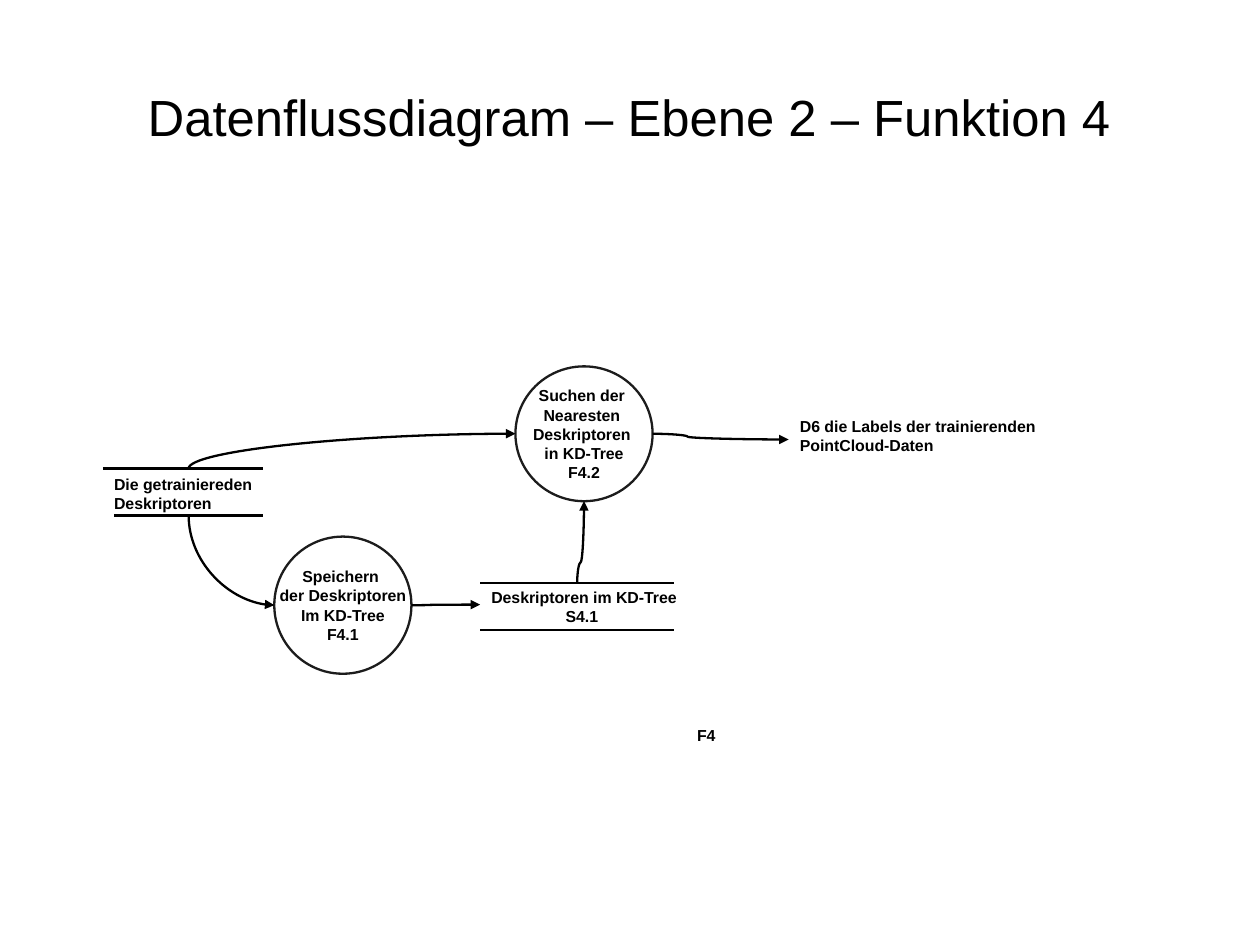
from dataclasses import dataclass

from lxml import etree
from pptx import Presentation
from pptx.dml.color import RGBColor
from pptx.enum.shapes import MSO_CONNECTOR, MSO_SHAPE
from pptx.enum.text import MSO_ANCHOR, PP_ALIGN
from pptx.oxml.ns import qn
from pptx.util import Cm, Inches, Pt

LEFT, CENTER = PP_ALIGN.LEFT, PP_ALIGN.CENTER
TOP, MIDDLE = MSO_ANCHOR.TOP, MSO_ANCHOR.MIDDLE
STRAIGHT, CURVE = MSO_CONNECTOR.STRAIGHT, MSO_CONNECTOR.CURVE
OVAL = MSO_SHAPE.OVAL

COLORS = {"ink": "000000", "ring": "1C1C1C"}
FONT = "Arial"
WIDTH = 1.45  # line width in points


def grid(cells: float) -> int:
    """Length of that many grid cells, ten to the inch."""
    return Inches(cells / 10)


@dataclass
class Label:
    col: float
    row: float
    cols: float
    rows: float
    text: str
    indent: float = 0  # extra indent of the last paragraph


@dataclass
class Process:
    col: float
    row: float
    cols: float
    rows: float
    text: str


@dataclass
class Rule:
    start: float
    end: float
    row: float


@dataclass
class Flow:
    """A curved arrow; adj places its middle bend, None means one bend."""
    x1: float
    y1: float
    x2: float
    y2: float
    upright: bool = False
    adj: int | None = None


LABELS = [
    Label(9, 41, 15, 4.1, "Die getrainiereden Deskriptoren"),
    Label(42, 50.9, 19, 4.1, "Deskriptoren im KD-Tree\nS4.1", 6.5),
    Label(69, 35.95, 23, 5, "D6 die Labels der trainierenden PointCloud-Daten"),
    Label(60, 62.95, 8, 4.1, "F4"),
]
PROCESSES = [
    Process(24, 46.95, 12, 12, "Speichern \nder Deskriptoren\nIm KD-Tree\nF4.1"),
    Process(45.1, 32.05, 12, 11.8,
            "Suchen der \nNearesten \nDeskriptoren \nin KD-Tree\nF4.2"),
]
RULES = [
    Rule(9, 23, 41), Rule(10, 23, 45.1),
    Rule(42, 59, 50.98), Rule(42, 59, 55.1),
]
FLOWS = [
    Flow(16.5, 45.1, 24, 52.95, upright=True),
    Flow(16.5, 41, 45.1, 37.95, upright=True),
    Flow(36, 52.95, 42, 52.9, adj=26400),
    Flow(50.5, 50.98, 51.1, 43.85, upright=True, adj=25000),
    Flow(57.1, 37.95, 69, 38.45, adj=25700),
]


def write(frame, text: str, size: float, bold: bool, align, anchor) -> None:
    frame.vertical_anchor = anchor
    frame.text = text
    for para in frame.paragraphs:
        para.alignment = align
        font = para.font
        font.name, font.size, font.bold = FONT, Pt(size), bold
        font.color.rgb = RGBColor.from_string(COLORS["ink"])


def stroke(line, color: str) -> None:
    line.color.rgb = RGBColor.from_string(COLORS[color])
    line.width = Pt(WIDTH)


def add_title(shapes, text: str) -> None:
    frame = shapes.add_textbox(
        grid(5.5), grid(3.3), grid(99.2), grid(13.8)).text_frame
    frame.word_wrap = True
    frame.margin_left = frame.margin_right = 0
    frame.margin_top = frame.margin_bottom = 0
    write(frame, text, 32, False, CENTER, MIDDLE)


def add_label(shapes, item: Label) -> None:
    frame = shapes.add_textbox(grid(item.col), grid(item.row),
                               grid(item.cols), grid(item.rows)).text_frame
    frame.word_wrap = True
    write(frame, item.text, 10, True, LEFT, TOP)
    if item.indent:
        props = frame.paragraphs[-1]._p.get_or_add_pPr()
        props.set("marL", str(grid(item.indent)))
        props.set("indent", "0")


def add_process(shapes, item: Process) -> None:
    ring = shapes.add_shape(OVAL, grid(item.col), grid(item.row),
                            grid(item.cols), grid(item.rows))
    ring.shadow.inherit = False
    ring.fill.background()
    stroke(ring.line, "ring")
    ring.text_frame.word_wrap = False
    write(ring.text_frame, item.text, 10, True, CENTER, MIDDLE)


def add_line(shapes, kind, x1: float, y1: float, x2: float, y2: float):
    line = shapes.add_connector(kind, grid(x1), grid(y1), grid(x2), grid(y2))
    stroke(line.line, "ink")
    etree.SubElement(line._element.spPr, qn("a:effectLst"))
    return line


def add_flow(shapes, flow: Flow) -> None:
    x1, y1, x2, y2 = flow.x1, flow.y1, flow.x2, flow.y2
    down = y2 > y1
    if flow.upright:  # lay the box flat about its centre, then turn it
        midx, midy = (x1 + x2) / 2, (y1 + y2) / 2
        long, wide = abs(y2 - y1) / 2, abs(x2 - x1) / 2
        side = wide if down else -wide
        x1, x2 = midx + long, midx - long
        y1, y2 = midy - side, midy + side
    line = add_line(shapes, CURVE, x1, y1, x2, y2)
    props = line._element.spPr
    if flow.upright:
        turn = 270 if down else 90
        props.find(qn("a:xfrm")).set("rot", str(turn * 60000))
    shape = props.find(qn("a:prstGeom"))
    if flow.adj is None:
        shape.set("prst", "curvedConnector2")
    else:
        guide = etree.SubElement(shape.find(qn("a:avLst")), qn("a:gd"))
        guide.set("name", "adj1")
        guide.set("fmla", f"val {flow.adj}")
    head = etree.SubElement(props.find(qn("a:ln")), qn("a:tailEnd"))
    head.set("type", "triangle")


def main() -> None:
    deck = Presentation()
    deck.slide_width, deck.slide_height = Cm(28), Cm(21)
    shapes = deck.slides.add_slide(deck.slide_layouts[6]).shapes
    add_title(shapes, "Datenflussdiagram – Ebene 2 – Funktion 4")
    for process in PROCESSES:
        add_process(shapes, process)
    for rule in RULES:
        add_line(shapes, STRAIGHT, rule.start, rule.row, rule.end, rule.row)
    for flow in FLOWS:
        add_flow(shapes, flow)
    for label in LABELS:
        add_label(shapes, label)
    deck.save("out.pptx")


if __name__ == "__main__":
    main()
